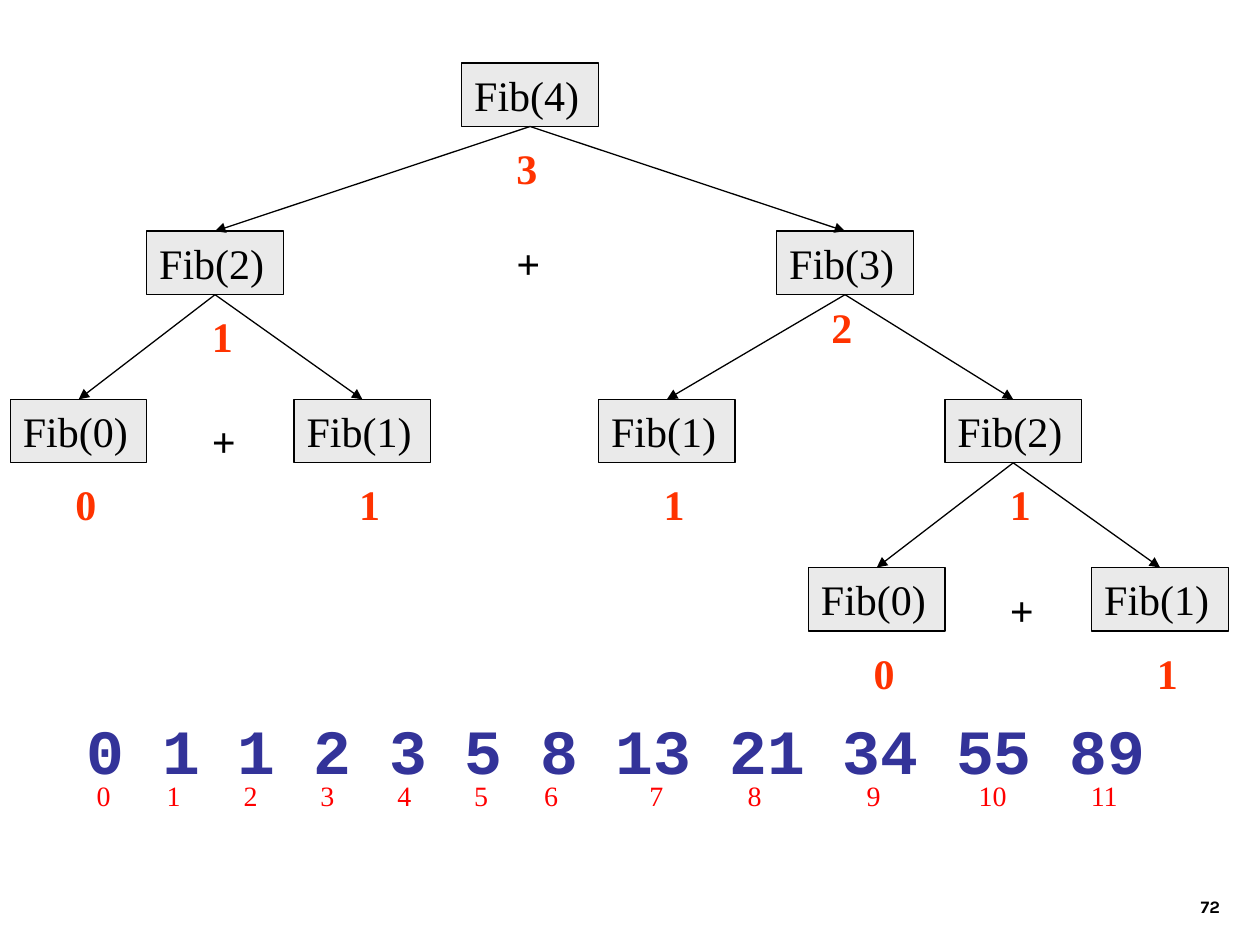
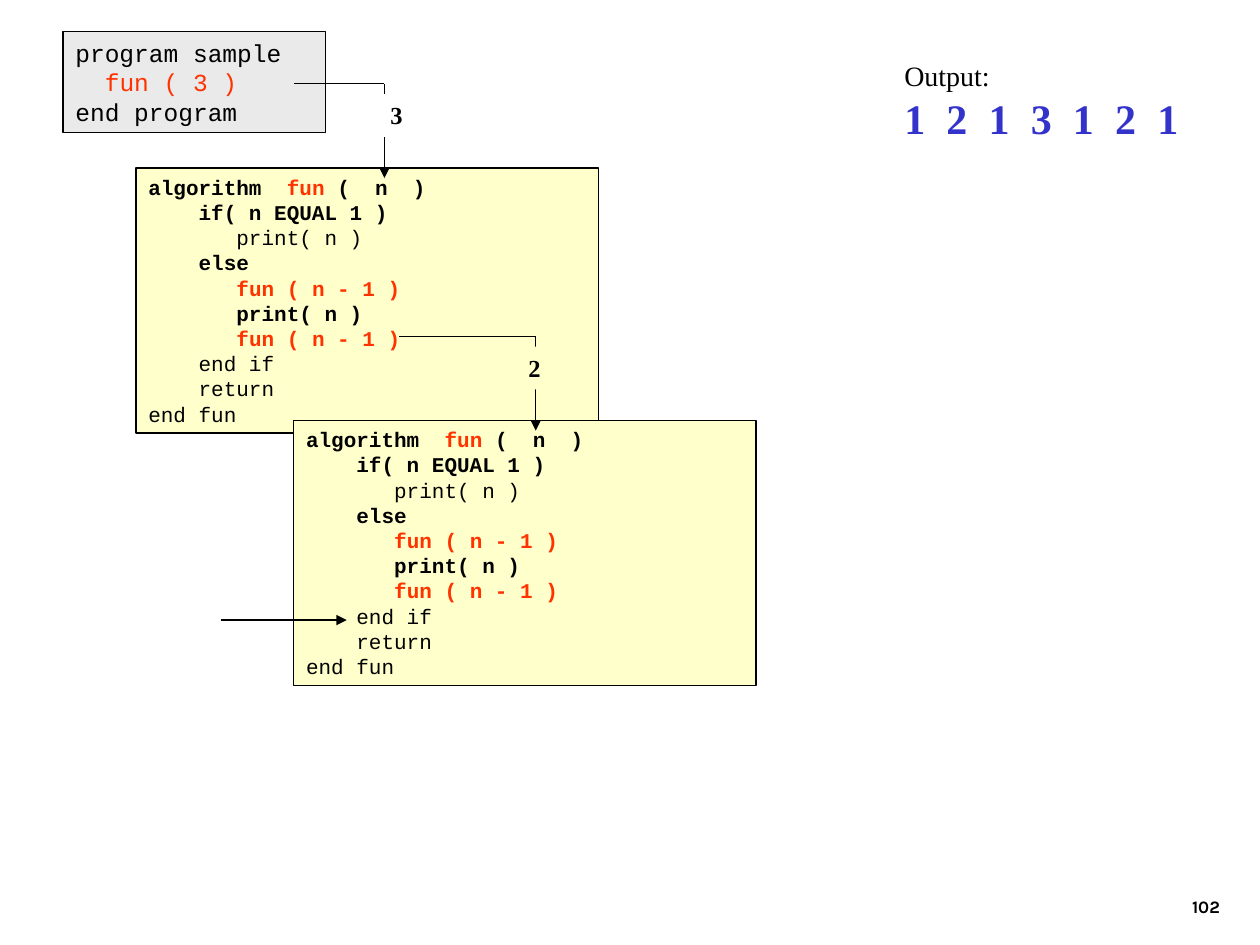
from itertools import accumulate
from typing import NamedTuple, Optional, Sequence

from pptx import Presentation
from pptx import util as u
from pptx.dml.color import RGBColor
from pptx.enum import shapes, text
from pptx.oxml.ns import qn
from lxml import etree

# Shared style
COLORS = {
    "black": "000000", "white": "FFFFFF", "grey": "EAEAEA", "cream": "FFFFCC",
    "orange": "FF3300", "red": "FF0000", "navy": "333399", "blue": "3333CC",
}
SERIF, MONO, FOOTER = "Times New Roman", "Courier New", "Karla"
LEVEL_STEP = 3.39
NODE_WIDTH, NODE_HEIGHT = 2.75, 1.28


class Span(NamedTuple):
    text: str
    color: str = "black"
    bold: bool = False


class Area(NamedTuple):
    left: float
    top: float
    width: float
    height: float


class Node(NamedTuple):
    call: str
    left: float
    level: int
    result: str
    parent: Optional[int] = None
    result_dx: float = 1.06
    result_dy: float = 1.48
    plus_dy: Optional[float] = None


class Call(NamedTuple):
    """A line that leaves a call, turns down and carries its argument."""
    start: float
    turn: float
    top: float
    argument: str
    label: Area
    fill: str
    inset: float


def color(name: str) -> RGBColor:
    return RGBColor.from_string(COLORS[name])


def add_box(page, area: Area, lines: Sequence[Sequence[Span]], size: float,
            font: str = SERIF, fill: Optional[str] = None, outline: bool = False,
            wrap: bool = True):
    """Draw a text box, or a rectangle when a fill is given."""
    place = [u.Cm(length) for length in area]
    if fill:
        box = page.shapes.add_shape(shapes.MSO_SHAPE.RECTANGLE, *place)
        box.shadow.inherit = False
        box.fill.solid()
        box.fill.fore_color.rgb = color(fill)
        if outline:
            box.line.color.rgb = color("black")
            box.line.width = u.Pt(0.75)
        else:
            box.line.fill.background()
    else:
        box = page.shapes.add_textbox(*place)
    frame = box.text_frame
    frame.word_wrap = wrap
    frame.vertical_anchor = text.MSO_ANCHOR.TOP
    for number, spans in enumerate(lines):
        para = frame.add_paragraph() if number else frame.paragraphs[0]
        para.alignment = text.PP_ALIGN.LEFT
        for span in spans:
            run = para.add_run()
            run.text = span.text
            run.font.name = font
            run.font.size = u.Pt(size)
            run.font.bold = span.bold
            run.font.color.rgb = color(span.color)
    return box


def set_tabs(para, stops: Sequence[float]) -> None:
    tab_list = etree.SubElement(para._p.get_or_add_pPr(), qn("a:tabLst"))
    for stop in stops:
        etree.SubElement(tab_list, qn("a:tab"), pos=str(int(u.Cm(stop))), algn="l")


def add_line(page, start=(0, 0), end=(0, 0), arrow: bool = True):
    line = page.shapes.add_connector(
        shapes.MSO_CONNECTOR.STRAIGHT, *[u.Cm(length) for length in (*start, *end)])
    line.line.color.rgb = color("black")
    line.line.width = u.Pt(0.75)
    if arrow:
        etree.SubElement(line.line._get_or_add_ln(), qn("a:tailEnd"), type="triangle")
    etree.SubElement(line._element.spPr, qn("a:effectLst"))
    return line


def add_page(deck, number: str):
    page = deck.slides.add_slide(deck.slide_layouts[6])
    box = add_box(page, Area(19.56, 17.35, 5.28, 1.27),
                  [[Span(number, bold=True)]], 10, FOOTER)
    box.text_frame.vertical_anchor = text.MSO_ANCHOR.BOTTOM
    box.text_frame.paragraphs[0].alignment = text.PP_ALIGN.RIGHT
    return page


# Call tree of Fib(4); parent is the index of the calling node
NODES = [
    Node("Fib(4)", 9.31, 0, "3", result_dx=0.85, plus_dy=3.39),
    Node("Fib(2)", 2.96, 1, "1", 0, plus_dy=3.6),
    Node("Fib(3)", 15.66, 1, "2", 0, result_dx=0.85, result_dy=1.29),
    Node("Fib(0)", 0.21, 2, "0", 1),
    Node("Fib(1)", 5.93, 2, "1", 1),
    Node("Fib(1)", 12.07, 2, "1", 2),
    Node("Fib(2)", 19.05, 2, "1", 2, plus_dy=3.6),
    Node("Fib(0)", 16.3, 3, "0", 6),
    Node("Fib(1)", 22.01, 3, "1", 6),
]
INDEX_GAPS = [1.41, 1.55, 1.55, 1.55, 1.55, 1.41, 2.12, 1.98, 2.4, 2.26, 2.26]


def draw_tree(page) -> None:
    boxes = []
    for node in NODES:
        top = 1.27 + LEVEL_STEP * node.level
        box = add_box(page, Area(node.left, top, NODE_WIDTH, NODE_HEIGHT),
                      [[Span(node.call)]], 24, fill="grey", outline=True)
        boxes.append(box)
        label_left = node.left + node.result_dx
        add_box(page, Area(label_left, top + node.result_dy, 1.06, 1.28),
                [[Span(node.result, "orange", True)]], 24)
        if node.plus_dy:
            add_box(page, Area(label_left, top + node.plus_dy, 1.22, 1.28),
                    [[Span("+", bold=True)]], 24)
        if node.parent is not None:
            arrow = add_line(page)
            arrow.begin_connect(boxes[node.parent], 2)
            arrow.end_connect(box, 0)


def draw_sequence(page) -> None:
    add_box(page, Area(1.5, 14.22, 22.6, 1.78),
            [[Span("0 1 1 2 3 5 8 13 21 34 55 89", "navy", True)]], 36, MONO,
            wrap=False)
    indices = "\t".join(str(index) for index in range(12))
    box = add_box(page, Area(1.7, 15.57, 22.2, 0.94), [[Span(indices, "red")]], 16)
    set_tabs(box.text_frame.paragraphs[0], [round(stop, 2) for stop in accumulate(INDEX_GAPS)])


# Trace of the recursive function
RECURSION = [Span("       "), Span("fun ( n - 1 )", "orange", True)]
ALGORITHM = [
    [Span("algorithm  ", bold=True), Span("fun ", "orange", True), Span("(  n  )", bold=True)],
    [Span("    if( n EQUAL 1 )", bold=True)],
    [Span("       print( n )")],
    [Span("    else", bold=True)],
    RECURSION,
    [Span("       print( n )", bold=True)],
    RECURSION,
    [Span("    end if")],
    [Span("    return")],
    [Span("end fun")],
]
PROGRAM = [
    [Span("program sample")],
    [Span("  "), Span("fun ( 3 )", "orange")],
    [Span("end program")],
]
CALLS = [
    Call(5.93, 7.75, 1.69, "3", Area(7.37, 1.9, 0.99, 0.86), "white", 0.5),
    Call(8.05, 10.8, 6.78, "2", Area(10.03, 6.99, 1.12, 0.86), "cream", 0.62),
]


def draw_call(page, call: Call) -> None:
    corner = (call.turn, call.top)
    add_line(page, (call.start, call.top), corner, arrow=False)
    add_line(page, corner, (call.turn, call.top + 1.9))
    box = add_box(page, call.label, [[Span(call.argument, bold=True)]], 14, fill=call.fill)
    box.text_frame.margin_left = u.Cm(call.inset)
    box.text_frame.margin_right = 0


def draw_trace(page) -> None:
    for left, top in ((2.74, 3.39), (5.92, 8.48)):
        add_box(page, Area(left, top, 9.32, 5.34), ALGORITHM, 12, MONO, "cream", True)
    add_box(page, Area(1.27, 0.64, 5.29, 2.03), PROGRAM, 14, MONO, "grey", True)
    add_line(page, (4.45, 12.5), (6.99, 12.5))
    for call in CALLS:
        draw_call(page, call)


def draw_output(page) -> None:
    printed = Span("\t".join("1213121"), "blue", True)
    box = add_box(page, Area(17.98, 1.06, 6.15, 1.96), [[Span("Output:")], [printed]], 16)
    numbers = box.text_frame.paragraphs[1]
    set_tabs(numbers, [round(0.85 * step, 2) for step in range(1, 7)])
    for run in numbers.runs:
        run.font.size = u.Pt(24)


def main() -> None:
    deck = Presentation()
    deck.slide_width, deck.slide_height = u.Cm(25.4), u.Cm(19.05)

    # Fibonacci tree
    page = add_page(deck, "72")
    draw_tree(page)
    draw_sequence(page)

    # Recursive calls
    page = add_page(deck, "102")
    draw_trace(page)
    draw_output(page)

    deck.save("out.pptx")


if __name__ == "__main__":
    main()
